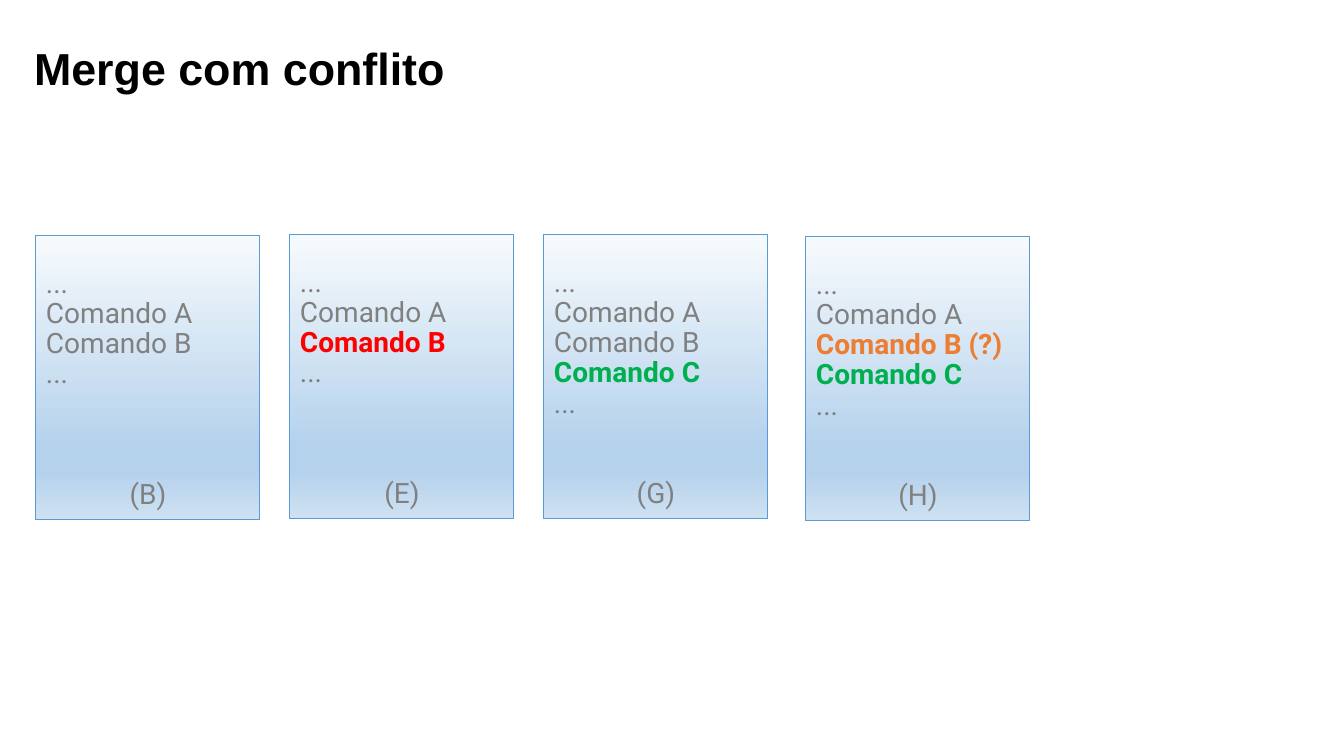
from copy import deepcopy

from pptx import Presentation
from pptx.dml.color import RGBColor
from pptx.enum.shapes import MSO_SHAPE
from pptx.enum.text import MSO_ANCHOR, MSO_AUTO_SIZE, PP_ALIGN
from pptx.util import Emu, Pt

BLACK = RGBColor(0x00, 0x00, 0x00)
GRAY = RGBColor(0x80, 0x80, 0x80)
RED = RGBColor(0xFF, 0x00, 0x00)
GREEN = RGBColor(0x00, 0xB0, 0x50)
ORANGE = RGBColor(0xED, 0x7D, 0x31)
BORDER = RGBColor(0x5B, 0x9B, 0xD5)
PALE = RGBColor(0xF7, 0xFA, 0xFD)
SKY = RGBColor(0xB5, 0xD2, 0xEC)
MIST = RGBColor(0xCE, 0xE1, 0xF2)
GRADIENT = [(0, PALE), (0.74, SKY), (0.83, SKY), (1, MIST)]

CARD_WIDTH, CARD_HEIGHT = 224, 284
LINE_PITCH = 21.5
LABEL_ROW = 7
VERSIONS = [
    (36, 236, "(B)", [("Comando A", GRAY), ("Comando B", GRAY)]),
    (290, 235, "(E)", [("Comando A", GRAY), ("Comando B", RED)]),
    (544, 235, "(G)", [("Comando A", GRAY), ("Comando B", GRAY), ("Comando C", GREEN)]),
    (806, 237, "(H)", [("Comando A", GRAY), ("Comando B (?)", ORANGE), ("Comando C", GREEN)]),
]


def px(length):
    """Turn pixels into EMU."""
    return Emu(round(length * 914400 / 100.8))


def write(paragraph, text, font="Roboto", size=20, color=GRAY, bold=False,
          align=PP_ALIGN.LEFT, before=0):
    """Write one formatted line of text into a paragraph."""
    paragraph.alignment = align
    paragraph.line_spacing = 0.9
    paragraph.space_before = Pt(before)
    run = paragraph.add_run()
    run.text = text
    run.font.name = font
    run.font.size = Pt(size)
    run.font.bold = bold
    run.font.color.rgb = color


def set_frame(frame, anchor, top=5):
    """Set the wrapping, anchor and insets of a text frame."""
    frame.word_wrap = True
    frame.auto_size = MSO_AUTO_SIZE.NONE
    frame.vertical_anchor = anchor
    frame.margin_left = frame.margin_right = px(10)
    frame.margin_top, frame.margin_bottom = px(top), px(5)


def fill_gradient(fill):
    """Apply the vertical blue gradient of the version cards."""
    fill.gradient()
    fill.gradient_angle = 270
    stop_list = fill._xPr.gradFill.gsLst
    for _ in range(len(GRADIENT) - len(stop_list)):
        stop_list.append(deepcopy(stop_list[0]))
    for stop, (position, color) in zip(fill.gradient_stops, GRADIENT):
        stop.position = position
        stop.color.rgb = color


def add_heading(slide, left, top, width, height):
    """Place the slide title in its box."""
    heading = slide.shapes.title
    heading.left, heading.top = px(left), px(top)
    heading.width, heading.height = px(width), px(height)
    set_frame(heading.text_frame, MSO_ANCHOR.MIDDLE)
    write(heading.text_frame.paragraphs[0], "Merge com conflito",
          font="Arial", size=32, color=BLACK, bold=True)


def add_version(slide, left, top, width, height, label, commands):
    """Draw one file version with its commands and its label."""
    card = slide.shapes.add_shape(
        MSO_SHAPE.RECTANGLE, px(left), px(top), px(width), px(height))
    card.shadow.inherit = False
    card.line.color.rgb = BORDER
    card.line.width = Pt(0.75)
    fill_gradient(card.fill)
    frame = card.text_frame
    set_frame(frame, MSO_ANCHOR.TOP, top=33)
    lines = [("...", GRAY), *commands, ("...", GRAY)]
    for index, (text, color) in enumerate(lines):
        paragraph = frame.add_paragraph() if index else frame.paragraphs[0]
        write(paragraph, text, color=color, bold=color != GRAY)
    write(frame.add_paragraph(), label, align=PP_ALIGN.CENTER,
          before=LINE_PITCH * (LABEL_ROW - len(lines)))


def build():
    """Build the slide and save it."""
    deck = Presentation()
    deck.slide_width, deck.slide_height = px(1344), px(756)
    slide = deck.slides.add_slide(deck.slide_layouts[5])
    add_heading(slide, 24, -2, 1159, 146)
    for left, top, label, commands in VERSIONS:
        add_version(slide, left, top, CARD_WIDTH, CARD_HEIGHT, label, commands)
    deck.save("out.pptx")


build()
